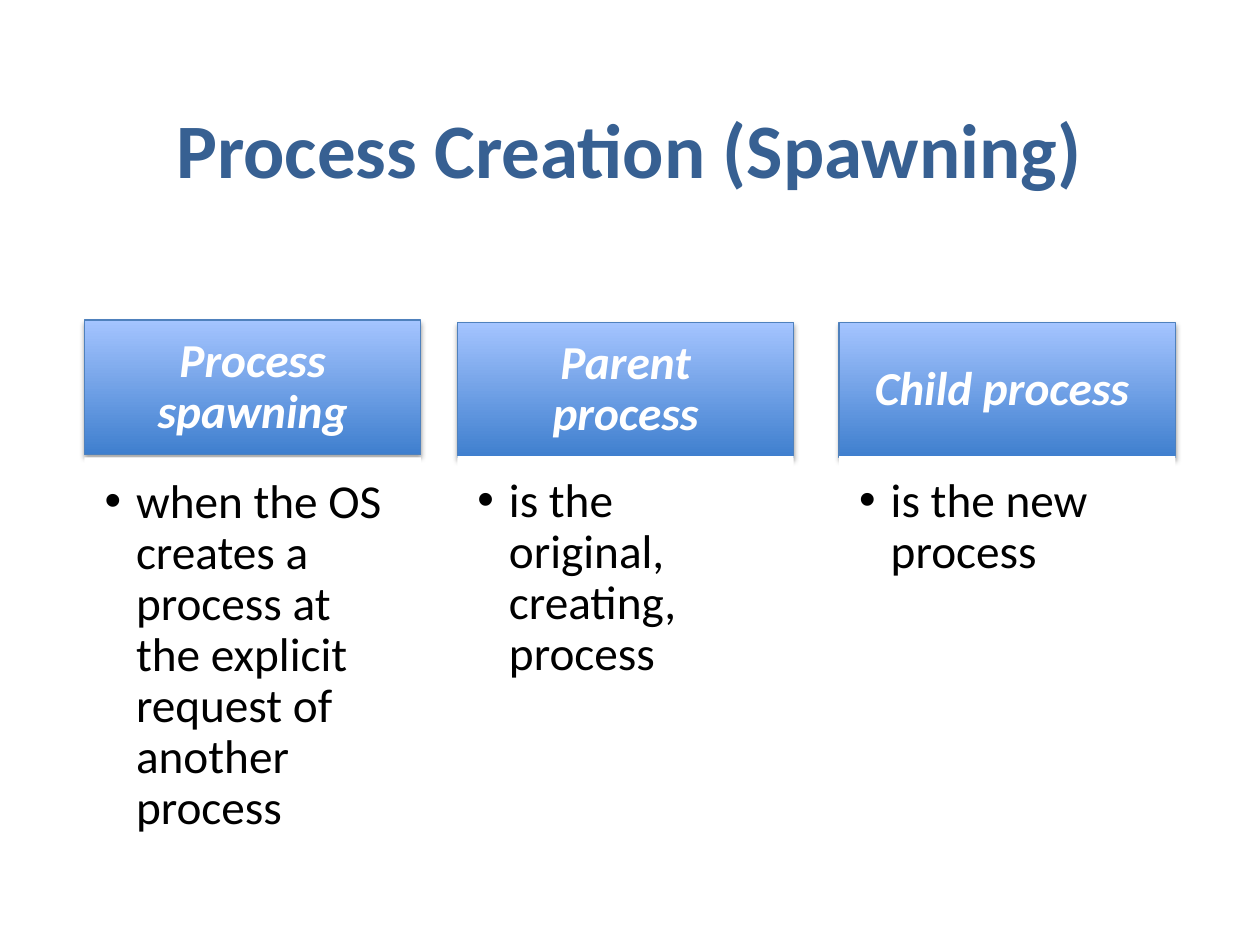
from lxml import etree
from pptx import Presentation
from pptx.dml.color import RGBColor
from pptx.enum.shapes import MSO_SHAPE
from pptx.enum.text import MSO_ANCHOR, PP_ALIGN
from pptx.oxml import parse_xml
from pptx.oxml.ns import nsdecls, qn
from pptx.util import Inches, Pt

RECTANGLE = MSO_SHAPE.RECTANGLE
TOP, MIDDLE = MSO_ANCHOR.TOP, MSO_ANCHOR.MIDDLE
LEFT, CENTER = PP_ALIGN.LEFT, PP_ALIGN.CENTER
TITLE_ONLY = 5

FONT = "Calibri"
COLUMN_WIDTH, HEADER_HEIGHT, BODY_HEIGHT = 2.67, 1.07, 3.32

# Left edge, header top, body top, heading, description
COLUMNS = [
    (0.67, 2.54, 3.63, "Process spawning",
     "when the OS creates a process at the explicit request of another process"),
    (3.63, 2.56, 3.62, "Parent process", "is the original, creating, process"),
    (6.66, 2.56, 3.62, "Child process ", "is the new process"),
]

TITLE_FONT = {"name": FONT, "size": Pt(44), "bold": True}
HEADER_FONT = {"name": FONT, "size": Pt(27), "bold": True, "italic": True}
BODY_FONT = {"name": FONT, "size": Pt(27), "bold": False, "italic": False}


def color(hex_value):
    return RGBColor.from_string(hex_value)


def set_attributes(target, values):
    for name, value in values.items():
        setattr(target, name, value)


def set_frame(frame, anchor, insets):
    names = ("margin_left", "margin_top", "margin_right", "margin_bottom")
    set_attributes(frame, dict(zip(names, map(Inches, insets))))
    set_attributes(frame, {"word_wrap": True, "vertical_anchor": anchor})


def write(para, text, alignment, font_values, font_color):
    para.text = text
    para.alignment = alignment
    set_attributes(para.font, font_values)
    para.font.color.rgb = color(font_color)


def add_shadow(shape):
    shape.shadow.inherit = False
    effects = shape.element.spPr.find(qn("a:effectLst"))
    effects.append(parse_xml(
        f'<a:outerShdw {nsdecls("a")} blurRad="{Pt(3.1)}" dist="{Pt(1.8)}" '
        'dir="5400000" rotWithShape="0"><a:srgbClr val="000000">'
        '<a:alpha val="35000"/></a:srgbClr></a:outerShdw>'))


def add_bullet(para, indent):
    properties = para._p.get_or_add_pPr()
    properties.set("marL", str(indent))
    properties.set("indent", str(-indent))
    etree.SubElement(properties, qn("a:buFont"), typeface="Arial")
    etree.SubElement(properties, qn("a:buChar"), char="•")


def add_title(page, box, text):
    title = page.shapes.title
    set_attributes(title, dict(zip(("left", "top", "width", "height"), box)))
    title.text_frame.vertical_anchor = MIDDLE
    write(title.text_frame.paragraphs[0], text, CENTER, TITLE_FONT, "376092")


def add_header(page, box, text):
    header = page.shapes.add_shape(RECTANGLE, *box)
    header.fill.gradient()
    header.fill.gradient_angle = 90
    for stop, stop_color in zip(header.fill.gradient_stops, ("3F7FCE", "A4C4FF")):
        stop.color.rgb = color(stop_color)
    header.line.color.rgb = color("4F81BD")
    header.line.width = Pt(0.75)
    add_shadow(header)
    set_frame(header.text_frame, MIDDLE, (0.21, 0.12, 0.21, 0.12))
    para = header.text_frame.paragraphs[0]
    para.line_spacing = 0.9
    write(para, text, CENTER, HEADER_FONT, "FFFFFF")


def add_body(page, box, text):
    body = page.shapes.add_shape(RECTANGLE, *box)
    body.fill.solid()
    body.fill.fore_color.rgb = color("FFFFFF")
    body.line.fill.background()
    body.shadow.inherit = False
    set_frame(body.text_frame, TOP, (0.16, 0.16, 0.21, 0.24))
    para = body.text_frame.paragraphs[0]
    set_attributes(para, {"level": 1, "line_spacing": 0.9, "space_after": Pt(4)})
    add_bullet(para, Inches(0.25))
    write(para, text, LEFT, BODY_FONT, "000000")


def main():
    deck = Presentation()
    deck.slide_width, deck.slide_height = Inches(10), Inches(7.5)
    page = deck.slides.add_slide(deck.slide_layouts[TITLE_ONLY])

    # Title
    add_title(page, map(Inches, (0.33, 0.5, 9.33, 1.34)),
              "Process Creation (Spawning)")

    # Three columns: gradient header above a bulleted description
    for left, header_top, body_top, heading, description in COLUMNS:
        add_header(page, map(Inches, (left, header_top, COLUMN_WIDTH, HEADER_HEIGHT)),
                   heading)
        add_body(page, map(Inches, (left, body_top, COLUMN_WIDTH, BODY_HEIGHT)),
                 description)

    deck.save("out.pptx")


if __name__ == "__main__":
    main()
